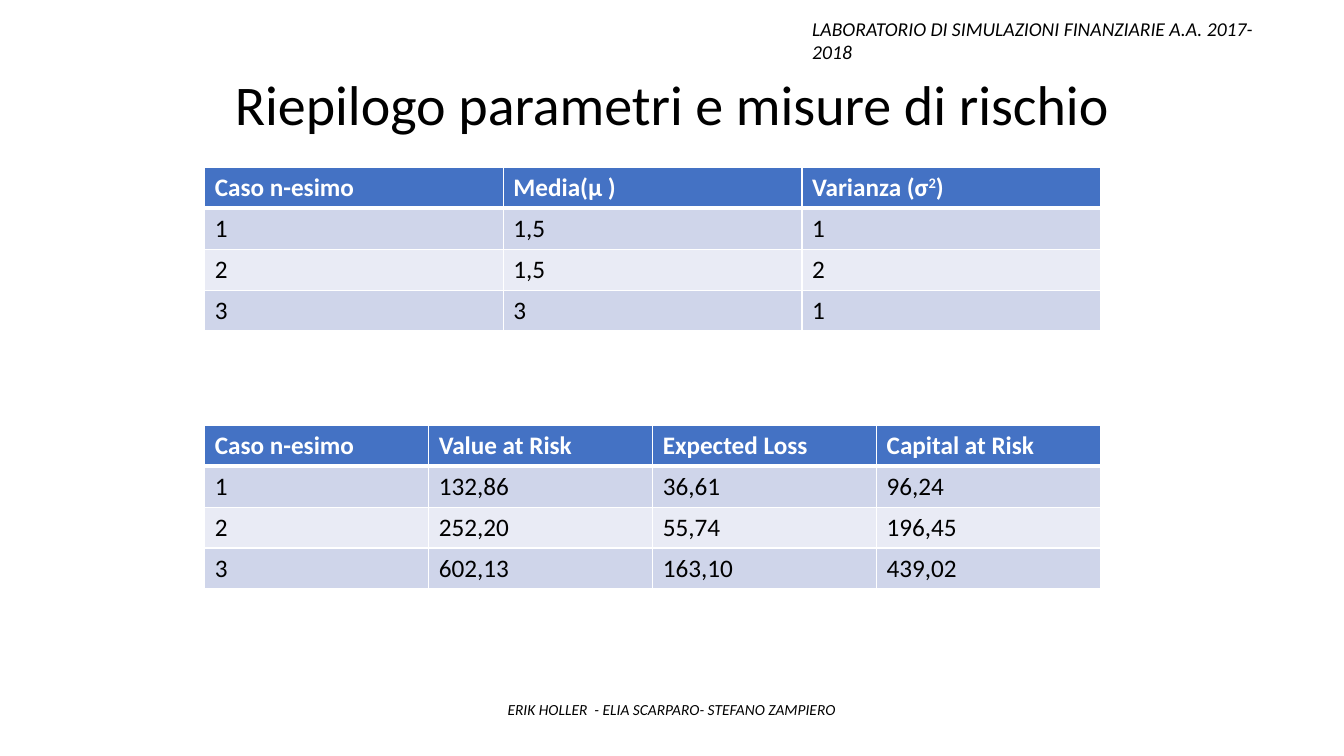
from lxml import etree
from pptx import Presentation
from pptx.dml.color import RGBColor
from pptx.enum.text import MSO_AUTO_SIZE, PP_ALIGN
from pptx.oxml.ns import qn
from pptx.util import Cm, Pt

LEFT, CENTER = PP_ALIGN.LEFT, PP_ALIGN.CENTER
GROW = MSO_AUTO_SIZE.SHAPE_TO_FIT_TEXT
BLACK = RGBColor(0x00, 0x00, 0x00)
WHITE = RGBColor(0xFF, 0xFF, 0xFF)
HEADER_BLUE = RGBColor(0x44, 0x72, 0xC4)
BAND_FILLS = (RGBColor(0xCF, 0xD5, 0xEA), RGBColor(0xE9, 0xEB, 0xF5))
FONT = "Calibri"
SUPERSCRIPT_MARK = "^"

PARAMETERS = [
    ("Caso n-esimo", "Media(μ )", "Varianza (σ^2^)"),
    ("1", "1,5", "1"),
    ("2", "1,5", "2"),
    ("3", "3", "1"),
]
RISK_MEASURES = [
    ("Caso n-esimo", "Value at Risk", "Expected Loss", "Capital at Risk"),
    ("1", "132,86", "36,61", "96,24"),
    ("2", "252,20", "55,74", "196,45"),
    ("3", "602,13", "163,10", "439,02"),
]


def style_font(font, size, color, bold=False, italic=False):
    font.name = FONT
    font.size = Pt(size)
    font.color.rgb = color
    font.bold = bold
    font.italic = italic


def add_text(slide, box, text, size, alignment, italic=False):
    shape = slide.shapes.add_textbox(*box)
    frame = shape.text_frame
    frame.word_wrap = True
    frame.auto_size = GROW
    paragraph = frame.paragraphs[0]
    paragraph.text = text
    paragraph.alignment = alignment
    style_font(paragraph.font, size, BLACK, italic=italic)


def set_borders(cell, top, bottom):
    properties = cell._tc.get_or_add_tcPr()
    for side, width in (("L", 1), ("R", 1), ("T", top), ("B", bottom)):
        line = etree.SubElement(properties, qn(f"a:ln{side}"), w=str(Pt(width)))
        fill = etree.SubElement(line, qn("a:solidFill"))
        etree.SubElement(fill, qn("a:srgbClr"), val=str(WHITE))


def fill_cell(cell, text, row):
    is_header = row == 0
    set_borders(cell, top=3 if row == 1 else 1, bottom=3 if is_header else 1)
    cell.fill.solid()
    cell.fill.fore_color.rgb = HEADER_BLUE if is_header else BAND_FILLS[(row - 1) % 2]

    # Every second part between the marks is raised
    paragraph = cell.text_frame.paragraphs[0]
    for index, part in enumerate(text.split(SUPERSCRIPT_MARK)):
        run = paragraph.add_run()
        run.text = part
        if index % 2:
            run._r.get_or_add_rPr().set("baseline", "30000")
    style_font(paragraph.font, 18, WHITE if is_header else BLACK, bold=is_header)


def add_banded_table(slide, box, rows):
    left, top, width, height = box
    table = slide.shapes.add_table(len(rows), len(rows[0]), left, top, width, height).table
    for column in table.columns:
        column.width = width // len(rows[0])
    for row, values in enumerate(rows):
        for column, text in enumerate(values):
            fill_cell(table.cell(row, column), text, row)


def build_summary_slide(presentation):
    slide = presentation.slides.add_slide(presentation.slide_layouts[6])

    # Title, course heading and authors
    add_text(slide, (Cm(4.6), Cm(1.63), Cm(24.66), Cm(1.96)),
             "Riepilogo parametri e misure di rischio", 40, CENTER)
    add_text(slide, (Cm(20.22), Cm(0.3), Cm(12.6), Cm(0.86)),
             "LABORATORIO DI SIMULAZIONI FINANZIARIE A.A. 2017-2018", 14, LEFT, italic=True)
    add_text(slide, (Cm(3.25), Cm(17.53), Cm(27.36), Cm(0.74)),
             "ERIK HOLLER  - ELIA SCARPARO- STEFANO ZAMPIERO", 11, CENTER, italic=True)

    # Tables share the left edge and the size
    for top, rows in ((Cm(4.22), PARAMETERS), (Cm(10.78 - 0.06), RISK_MEASURES)):
        add_banded_table(slide, (Cm(5.16), top, Cm(22.58), Cm(4.12)), rows)


def main():
    presentation = Presentation()
    presentation.slide_width = Cm(33.87)
    presentation.slide_height = Cm(19.05)
    build_summary_slide(presentation)
    presentation.save("out.pptx")


if __name__ == "__main__":
    main()
